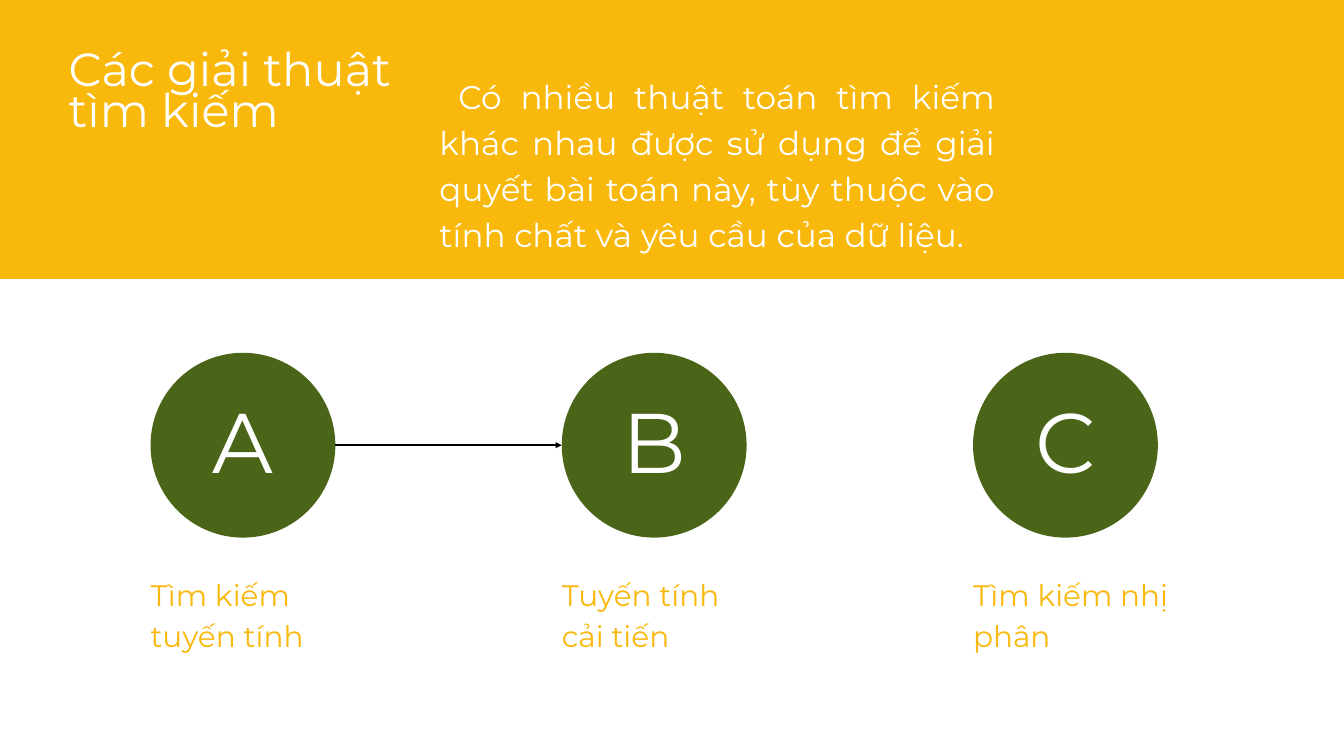
from dataclasses import dataclass

from lxml import etree
from pptx import Presentation
from pptx import util as u
from pptx.dml.color import RGBColor
from pptx.enum import shapes, text
from pptx.oxml.ns import qn


@dataclass(frozen=True)
class Theme:
    font: str = "Montserrat"
    yellow: str = "F9B80C"
    green: str = "4A6418"
    white: str = "FFFFFF"
    black: str = "000000"
    title: tuple = (49.7, 43.7)
    body: tuple = (35, 49)
    letter: tuple = (90.6, 82.4)
    caption: tuple = (31.7, 44.3)
    arrow_width: float = 2.25


class SlideBuilder:
    def __init__(self, slide, theme):
        self.slide = slide
        self.theme = theme

    def block(self, preset, left, top, width, height, color):
        block = self.slide.shapes.add_shape(
            preset, u.Inches(left), u.Inches(top), u.Inches(width), u.Inches(height))
        block.shadow.inherit = False
        block.fill.solid()
        block.fill.fore_color.rgb = RGBColor.from_string(color)
        block.line.fill.background()

    def label(self, words, left, top, width, height, type_size, color,
              align=text.PP_ALIGN.LEFT):
        size, leading = type_size
        frame = self.slide.shapes.add_textbox(
            u.Inches(left), u.Inches(top), u.Inches(width), u.Inches(height)).text_frame
        frame.word_wrap = True
        frame.auto_size = text.MSO_AUTO_SIZE.SHAPE_TO_FIT_TEXT
        frame.margin_left = frame.margin_right = 0
        frame.margin_top = frame.margin_bottom = 0
        paragraph = frame.paragraphs[0]
        paragraph.text = words
        paragraph.alignment = align
        paragraph.line_spacing = u.Pt(leading)
        paragraph.font.name = self.theme.font
        paragraph.font.size = u.Pt(size)
        paragraph.font.color.rgb = RGBColor.from_string(color)

    def arrow(self, start, end, y):
        arrow = self.slide.shapes.add_connector(
            shapes.MSO_CONNECTOR.STRAIGHT,
            u.Inches(start), u.Inches(y), u.Inches(end), u.Inches(y))
        arrow.line.width = u.Pt(self.theme.arrow_width)
        arrow.line.color.rgb = RGBColor.from_string(self.theme.black)
        etree.SubElement(arrow.line._get_or_add_ln(), qn("a:tailEnd"), type="triangle")
        etree.SubElement(arrow._element.spPr, qn("a:effectLst"))


def main():
    presentation = Presentation()
    presentation.slide_width = u.Inches(20)
    presentation.slide_height = u.Inches(11.25)
    theme = Theme()
    builder = SlideBuilder(
        presentation.slides.add_slide(presentation.slide_layouts[6]), theme)

    builder.block(shapes.MSO_SHAPE.RECTANGLE, 0, 0, 20, 4.15, theme.yellow)

    first_left, pitch, circle_top, diameter = 2.24, 6.12, 5.25, 2.75
    letter_width = 2.07
    algorithms = [
        ("A", "Tìm kiếm tuyến tính"),
        ("B", "Tuyến tính cải tiến"),
        ("C", "Tìm kiếm nhị phân"),
    ]
    for index, (letter, algorithm) in enumerate(algorithms):
        left = first_left + index * pitch
        builder.block(shapes.MSO_SHAPE.OVAL, left, circle_top, diameter, diameter, theme.green)
        builder.label(letter, left + (diameter - letter_width) / 2, 6.15, letter_width, 1.23,
                      theme.letter, theme.white, text.PP_ALIGN.CENTER)
        builder.label(algorithm, left, 8.5, 2.97, 1.21, theme.caption, theme.yellow)

    builder.arrow(first_left + diameter, first_left + pitch, circle_top + diameter / 2)

    builder.label("Các giải thuật tìm kiếm", 1.02, 0.82, 5.18, 1.25, theme.title, theme.white)
    builder.label(
        " Có nhiều thuật toán tìm kiếm khác nhau được sử dụng để giải quyết bài toán này, "
        "tùy thuộc vào tính chất và yêu cầu của dữ liệu.",
        6.54, 1.05, 8.27, 3.25, theme.body, theme.white, text.PP_ALIGN.JUSTIFY)

    presentation.save("out.pptx")


if __name__ == "__main__":
    main()
